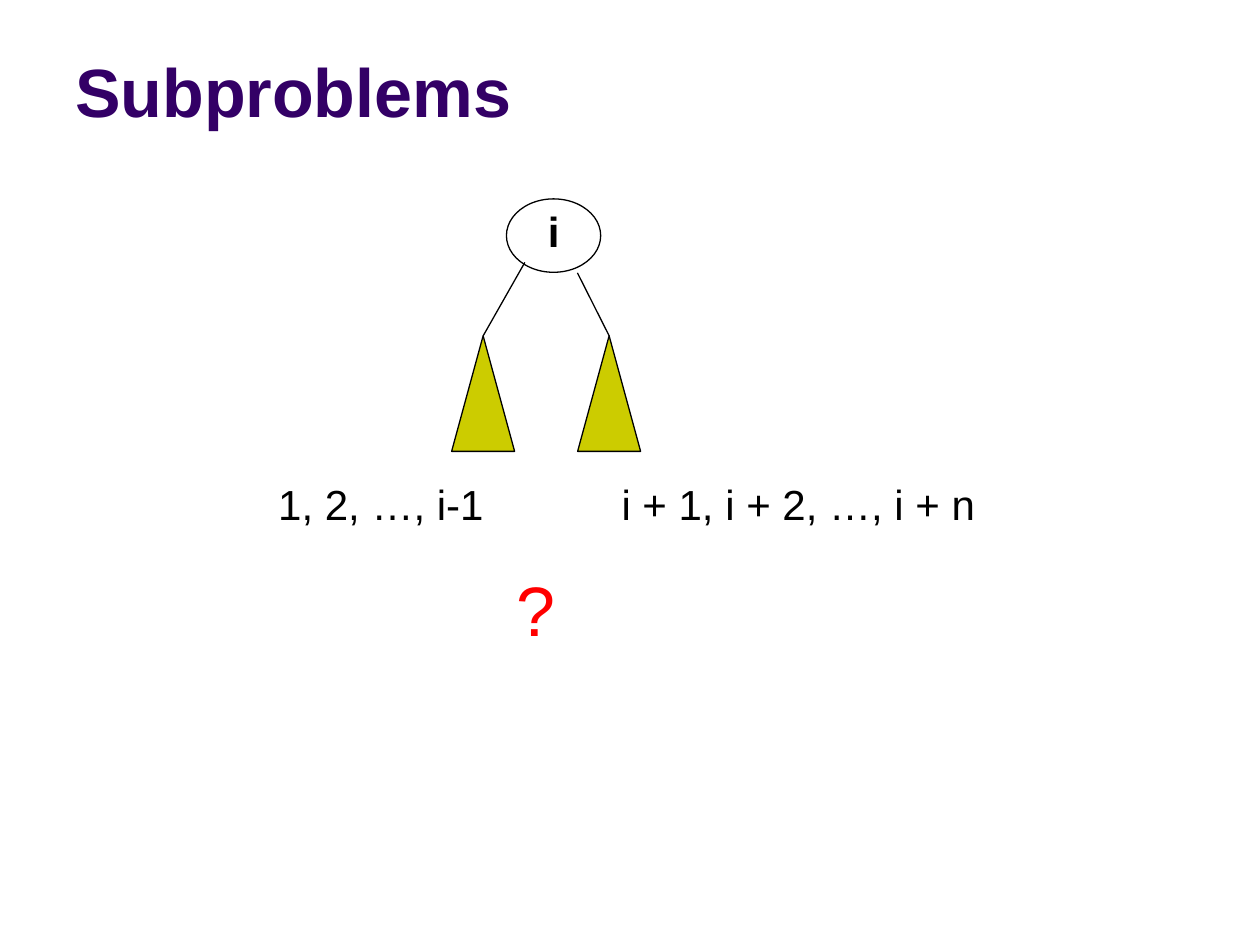
import pptx
import pptx.util
import pptx.dml.color
import pptx.enum.shapes
import pptx.enum.text
import pptx.oxml.ns
from lxml import etree
from pptx.util import Cm

HUES = {"title": "330066", "ink": "000000", "tree": "CCCC00", "ask": "FF0000"}
SHAPE = pptx.enum.shapes.MSO_SHAPE
ALIGN = pptx.enum.text.PP_ALIGN
ANCHOR = pptx.enum.text.MSO_ANCHOR

TOP = 6.77
WIDE, HIGH = 1.27, 2.33


def color(name):
    return pptx.dml.color.RGBColor.from_string(HUES[name])


def add_text(slide, text, left, top, width, height, size=24, hue="ink",
             bold=False, align=ALIGN.LEFT, anchor=ANCHOR.TOP):
    box = slide.shapes.add_textbox(Cm(left), Cm(top), Cm(width), Cm(height))
    frame = box.text_frame
    frame.word_wrap = True
    frame.vertical_anchor = anchor
    para = frame.paragraphs[0]
    para.text = text
    para.alignment = align
    font = para.runs[0].font
    font.name = "Arial"
    font.size = pptx.util.Pt(size)
    font.bold = bold
    font.color.rgb = color(hue)


def set_line(line):
    line.color.rgb = color("ink")
    line.width = pptx.util.Pt(0.75)


def add_form(slide, kind, left, top, width, height, fill=None):
    form = slide.shapes.add_shape(kind, Cm(left), Cm(top), Cm(width), Cm(height))
    form.shadow.inherit = False
    if fill:
        form.fill.solid()
        form.fill.fore_color.rgb = color(fill)
    else:
        form.fill.background()
    set_line(form.line)


def add_edge(slide, x1, y1, x2, y2):
    edge = slide.shapes.add_connector(
        pptx.enum.shapes.MSO_CONNECTOR.STRAIGHT, Cm(x1), Cm(y1), Cm(x2), Cm(y2))
    set_line(edge.line)
    props = edge._element.spPr
    etree.SubElement(props, pptx.oxml.ns.qn("a:effectLst"))


def add_branch(slide, x, y, peak):
    """Draw an edge from the root at x, y to a subtree whose tip is at peak."""
    add_edge(slide, x, y, peak, TOP)
    add_form(slide, SHAPE.ISOSCELES_TRIANGLE, peak - WIDE / 2, TOP, WIDE, HIGH,
             fill="tree")


def main():
    deck = pptx.Presentation()
    deck.slide_width, deck.slide_height = Cm(25.4), Cm(19.05)
    slide = deck.slides.add_slide(deck.slide_layouts[6])

    add_text(slide, "Subproblems", 1.27, 0.33, 22.86, 2.44, size=39,
             hue="title", bold=True, anchor=ANCHOR.BOTTOM)
    add_text(slide, "i", 10.45, 4.01, 1.42, 1.27, bold=True, align=ALIGN.CENTER)
    add_form(slide, SHAPE.OVAL, 10.21, 4.01, 1.9, 1.48)
    add_branch(slide, 11.64, 5.5, 12.28)
    add_branch(slide, 10.58, 5.29, 9.74)
    add_text(slide, "1, 2, …, i-1", 5.36, 9.53, 5.23, 1.27)
    add_text(slide, "i + 1, i + 2, …, i + n", 12.28, 9.53, 8.38, 1.27)
    add_text(slide, "?", 10.16, 11.3, 1.47, 1.96, size=40, hue="ask")

    deck.save("out.pptx")


if __name__ == "__main__":
    main()
